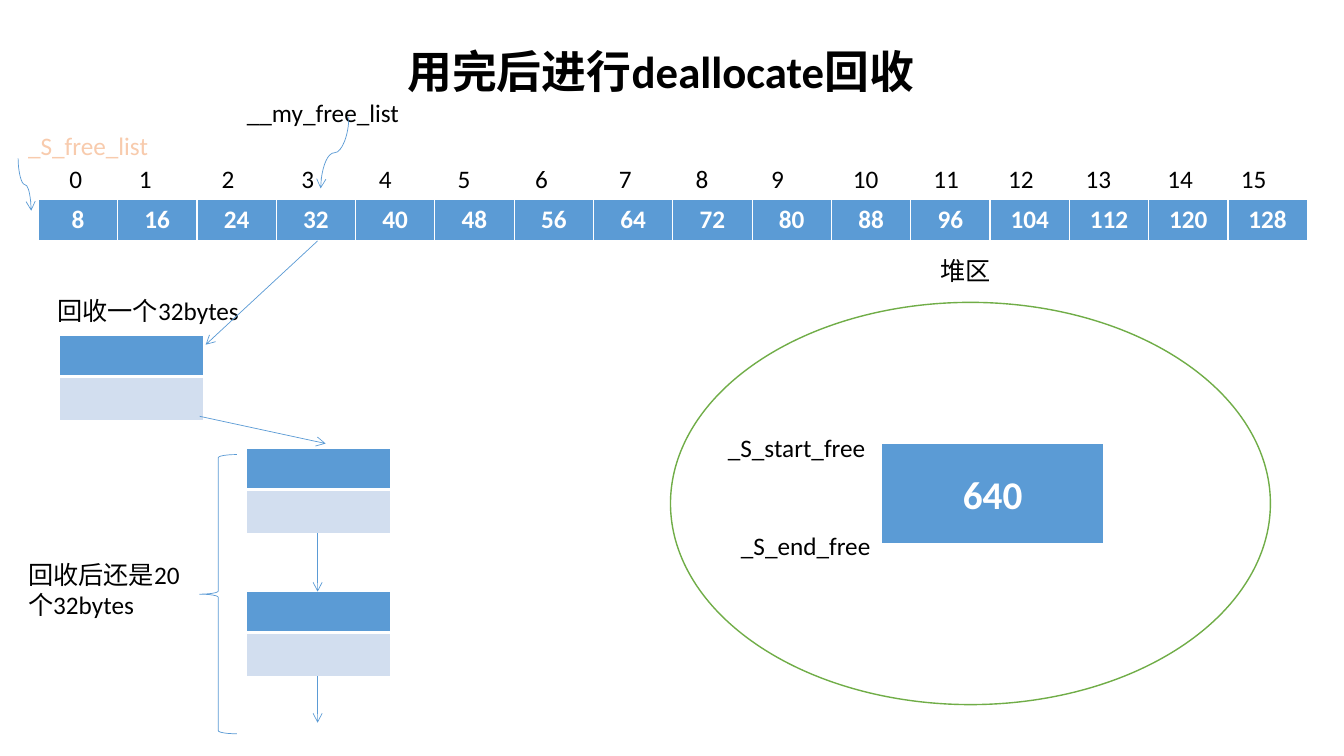
from dataclasses import dataclass

from lxml import etree
from pptx import Presentation
from pptx.dml.color import RGBColor
from pptx.enum.shapes import MSO_CONNECTOR, MSO_SHAPE
from pptx.enum.text import MSO_ANCHOR, MSO_AUTO_SIZE, PP_ALIGN
from pptx.oxml.ns import qn
from pptx.util import Inches, Pt

STRAIGHT, CURVE = MSO_CONNECTOR.STRAIGHT, MSO_CONNECTOR.CURVE
ELLIPSE, LEFT_BRACE = MSO_SHAPE.OVAL, MSO_SHAPE.LEFT_BRACE
TOP, NO_AUTOFIT = MSO_ANCHOR.TOP, MSO_AUTO_SIZE.NONE
LEFT, CENTER = PP_ALIGN.LEFT, PP_ALIGN.CENTER


@dataclass(frozen=True)
class Theme:
    font: str = "Calibri"
    black: str = "000000"
    white: str = "FFFFFF"
    blue: str = "5B9BD5"
    pale_blue: str = "D2DEEF"
    green: str = "70AD47"
    peach: str = "F8CBAD"
    title: float = 32
    block: float = 28
    body: float = 18
    thin: float = 0.5
    border: float = 1
    header_border: float = 3


THEME = Theme()


@dataclass(frozen=True)
class Label:
    text: str
    left: float
    top: float
    width: float
    height: float = 0.4
    color: str = THEME.black


@dataclass(frozen=True)
class Grid:
    left: float
    top: float
    width: float
    row_heights: tuple[float, ...]
    header: tuple[str, ...] = ("",)
    size: float = THEME.body
    spacing: float = 1.0


@dataclass(frozen=True)
class Arrow:
    start: tuple[float, float]
    end: tuple[float, float]
    curved: bool = False


@dataclass(frozen=True)
class Outline:
    kind: int
    left: float
    top: float
    width: float
    height: float
    color: str
    weight: float
    fill: str = ""


INDEX_LEFTS = (0.59, 1.28, 2.1, 2.89, 3.66, 4.44, 5.21, 6.04,
               6.8, 7.55, 8.36, 9.16, 9.9, 10.67, 11.48, 12.21)
LABELS = [Label(str(index), left, 1.57, 0.61) for index, left in enumerate(INDEX_LEFTS)] + [
    Label("_S_free_list", 0.18, 1.24, 1.8, color=THEME.peach),
    Label("__my_free_list", 2.35, 0.92, 2.02),
    Label("回收一个32bytes", 0.47, 2.88, 2.22),
    Label("回收后还是20个32bytes", 0.18, 5.5, 1.7, 0.71),
    Label("堆区", 9.23, 2.48, 1.62),
    Label("_S_start_free", 7.12, 4.24, 1.62),
    Label("_S_end_free", 7.25, 5.21, 1.49),
]
FREE_LIST = Grid(0.38, 1.98, 12.59, (0.42,), tuple(str(8 * n) for n in range(1, 17)))
NODES = [Grid(left, top, 1.43, (0.4, 0.44))
         for left, top in ((0.59, 3.33), (2.44, 4.45), (2.44, 5.87))]
HEAP_BLOCK = Grid(8.74, 4.4, 2.21, (1.01,), ("640",), THEME.block, 1.5)
OUTLINES = [
    Outline(ELLIPSE, 6.65, 3, 5.95, 3.99, THEME.green, 1, THEME.white),
    Outline(LEFT_BRACE, 1.98, 4.51, 0.37, 2.77, THEME.blue, THEME.thin),
]
ARROWS = [
    Arrow((3.15, 2.39), (2.04, 3.42)),
    Arrow((1.98, 4.13), (3.23, 4.4)),
    Arrow((3.15, 5.29), (3.15, 5.87)),
    Arrow((3.15, 6.71), (3.15, 7.17)),
    Arrow((0.18, 1.57), (0.31, 2.09), curved=True),
    Arrow((3.46, 1.16), (3.18, 1.87), curved=True),
]


def rgb(color: str) -> RGBColor:
    return RGBColor.from_string(color)


def style_para(para, size: float, color: str, bold: bool = False, align=LEFT) -> None:
    para.alignment = align
    para.font.name = THEME.font
    para.font.size = Pt(size)
    para.font.bold = bold
    para.font.color.rgb = rgb(color)


def place_title(page, text: str) -> None:
    title = page.shapes.title
    title.left, title.top = Inches(3.94), Inches(0.38)
    title.width, title.height = Inches(6.8), Inches(0.64)
    frame = title.text_frame
    frame.text = text
    frame.auto_size = NO_AUTOFIT
    frame.vertical_anchor = TOP
    style_para(frame.paragraphs[0], THEME.title, THEME.black, bold=True)


def add_label(page, label: Label) -> None:
    box = page.shapes.add_textbox(Inches(label.left), Inches(label.top),
                                  Inches(label.width), Inches(label.height))
    frame = box.text_frame
    frame.word_wrap = True
    frame.text = label.text
    style_para(frame.paragraphs[0], THEME.body, label.color)


def set_borders(cell, is_header: bool) -> None:
    properties = cell._tc.get_or_add_tcPr()
    top = THEME.border if is_header else THEME.header_border
    bottom = THEME.header_border if is_header else THEME.border
    widths = {"lnL": THEME.border, "lnR": THEME.border, "lnT": top, "lnB": bottom}
    for side, width in widths.items():
        line = etree.SubElement(properties, qn(f"a:{side}"), w=str(Pt(width)))
        fill = etree.SubElement(line, qn("a:solidFill"))
        etree.SubElement(fill, qn("a:srgbClr"), val=THEME.white)


def add_grid(page, grid: Grid) -> None:
    frame = page.shapes.add_table(
        len(grid.row_heights), len(grid.header), Inches(grid.left), Inches(grid.top),
        Inches(grid.width), Inches(sum(grid.row_heights)))
    table = frame.table
    table.first_row = table.horz_banding = False
    for row, height in zip(table.rows, grid.row_heights):
        row.height = Inches(height)
    for row_index, row in enumerate(table.rows):
        is_header = row_index == 0
        for column_index, cell in enumerate(row.cells):
            set_borders(cell, is_header)
            cell.fill.solid()
            cell.fill.fore_color.rgb = rgb(THEME.blue if is_header else THEME.pale_blue)
            if is_header and grid.header[column_index]:
                cell.text = grid.header[column_index]
                para = cell.text_frame.paragraphs[0]
                style_para(para, grid.size, THEME.white, bold=True, align=CENTER)
                para.line_spacing = grid.spacing


def add_outline(page, outline: Outline) -> None:
    shape = page.shapes.add_shape(outline.kind, Inches(outline.left), Inches(outline.top),
                                  Inches(outline.width), Inches(outline.height))
    shape.shadow.inherit = False
    shape.line.color.rgb = rgb(outline.color)
    shape.line.width = Pt(outline.weight)
    if outline.fill:
        shape.fill.solid()
        shape.fill.fore_color.rgb = rgb(outline.fill)
    else:
        shape.fill.background()


def add_arrow(page, arrow: Arrow) -> None:
    (x1, y1), (x2, y2) = arrow.start, arrow.end
    if arrow.curved:
        middle_x, middle_y = (x1 + x2) / 2, (y1 + y2) / 2
        half_run, half_drop = (x2 - x1) / 2, (y2 - y1) / 2
        x1, x2 = middle_x - half_drop, middle_x + half_drop
        y1, y2 = middle_y + half_run, middle_y - half_run
    connector = page.shapes.add_connector(CURVE if arrow.curved else STRAIGHT,
                                          Inches(x1), Inches(y1), Inches(x2), Inches(y2))
    connector.line.color.rgb = rgb(THEME.blue)
    connector.line.width = Pt(THEME.thin)
    properties = connector.element.spPr
    etree.SubElement(properties.find(qn("a:ln")), qn("a:tailEnd"), type="arrow")
    etree.SubElement(properties, qn("a:effectLst"))
    if arrow.curved:
        properties.find(qn("a:xfrm")).set("rot", "5400000")


def main() -> None:
    deck = Presentation()
    deck.slide_width, deck.slide_height = Inches(13.33), Inches(7.5)
    page = deck.slides.add_slide(deck.slide_layouts[5])
    place_title(page, "用完后进行deallocate回收")
    for outline in OUTLINES:
        add_outline(page, outline)
    for grid in [FREE_LIST, *NODES, HEAP_BLOCK]:
        add_grid(page, grid)
    for label in LABELS:
        add_label(page, label)
    for arrow in ARROWS:
        add_arrow(page, arrow)
    deck.save("out.pptx")


if __name__ == "__main__":
    main()
